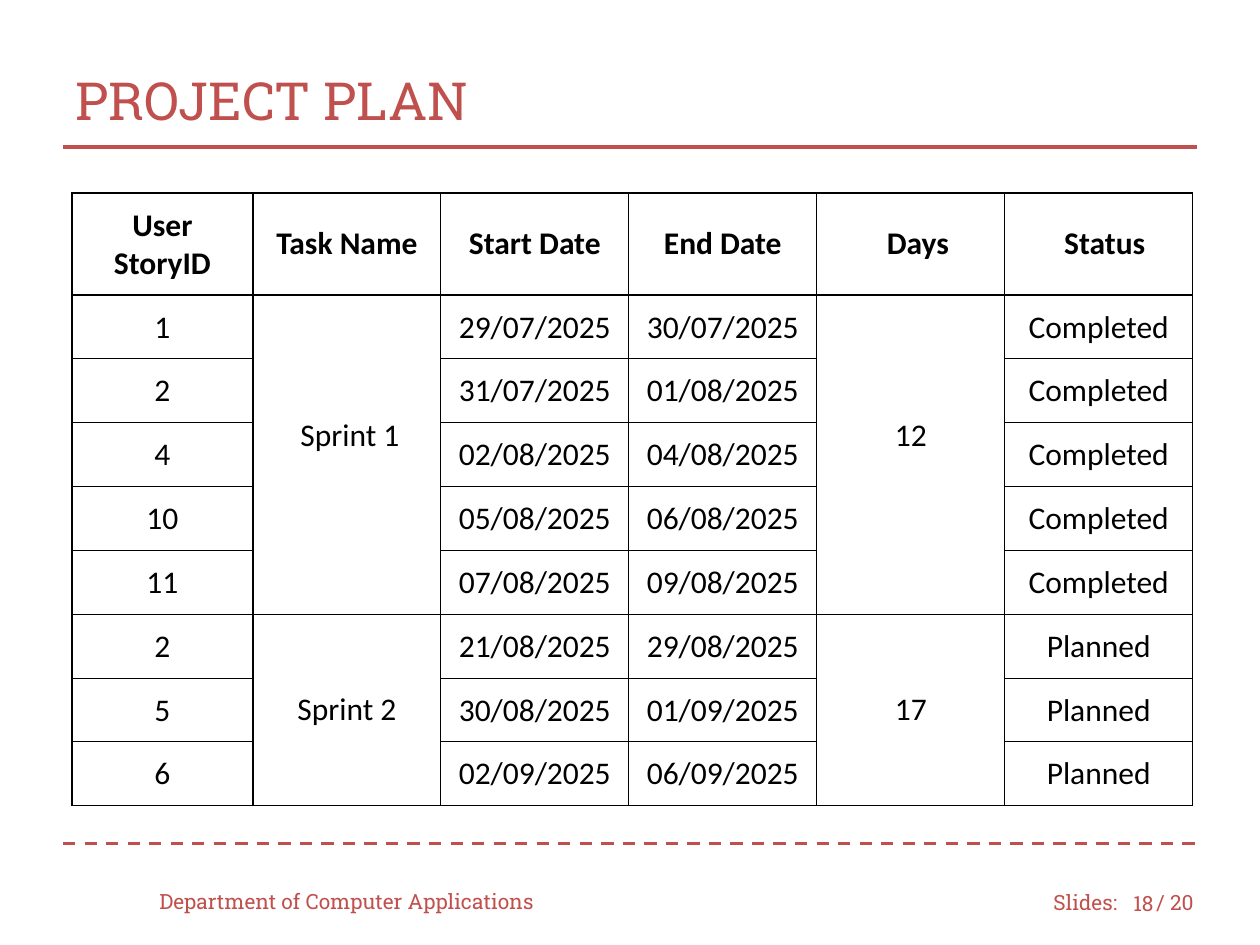
from lxml import etree
from pptx import Presentation
from pptx.dml.color import RGBColor
from pptx.enum import dml, shapes, text
from pptx.oxml import parse_xml
from pptx.oxml.ns import nsdecls, qn
from pptx.util import Emu, Pt

PX = 914400 / 126
THEME = {
    "accent": RGBColor.from_string("C0504D"),
    "ink": RGBColor.from_string("000000"),
    "paper": RGBColor.from_string("FFFFFF"),
    "slab": "Roboto Slab", "body": "Calibri",
    "title": Pt(30), "cell": Pt(18), "footer": Pt(12),
    "rule": Pt(1.75), "border": Pt(0.75),
}
LEFT, CENTER, RIGHT = text.PP_ALIGN.LEFT, text.PP_ALIGN.CENTER, text.PP_ALIGN.RIGHT


def px(n):
    return Emu(round(n * PX))


def style(p, font, size, color, align, bold=False):
    p.alignment = align
    p.font.name, p.font.size, p.font.bold = font, size, bold
    p.font.color.rgb = color


prs = Presentation()
prs.slide_width, prs.slide_height = px(1260), px(945)
s = prs.slides.add_slide(prs.slide_layouts[6])

# Rules under the title and above the footer
for y, dash in ((147, None), (844, dml.MSO_LINE.DASH)):
    rule = s.shapes.add_connector(shapes.MSO_CONNECTOR.STRAIGHT,
                                  px(63), px(y), px(1197), px(y))
    rule.line.color.rgb = THEME["accent"]
    rule.line.width = THEME["rule"]
    rule.line.dash_style = dash
    etree.SubElement(rule._element.spPr, qn("a:effectLst"))

# Title and footer texts
for words, x, y, w, h, size, align in (
    ("PROJECT PLAN", 63, 42, 1134, 116, "title", LEFT),
    ("Department of Computer Applications", 147, 876, 420, 50, "footer", LEFT),
    ("Slides:", 1041, 877, 95, 50, "footer", LEFT),
    ("18", 1113, 878, 53, 50, "footer", RIGHT),
    ("/ 20", 1144, 877, 73, 50, "footer", LEFT),
):
    tf = s.shapes.add_textbox(px(x), px(y), px(w), px(h)).text_frame
    tf.word_wrap = True
    tf.vertical_anchor = text.MSO_ANCHOR.MIDDLE
    tf.text = words
    style(tf.paragraphs[0], THEME["slab"], THEME[size], THEME["accent"], align)

# Project plan data
header = ["User\nStoryID", "Task Name", "Start Date", "End Date", "Days", "Status"]
sprints = [
    ("Sprint 1", "12", "Completed", [
        ("1", "29/07/2025", "30/07/2025"),
        ("2", "31/07/2025", "01/08/2025"),
        ("4", "02/08/2025", "04/08/2025"),
        ("10", "05/08/2025", "06/08/2025"),
        ("11", "07/08/2025", "09/08/2025"),
    ]),
    ("Sprint 2", "17", "Planned", [
        ("2", "21/08/2025", "29/08/2025"),
        ("5", "30/08/2025", "01/09/2025"),
        ("6", "02/09/2025", "06/09/2025"),
    ]),
]
rows, merges = [header], []
for name, days, status, stories in sprints:
    first = len(rows)
    for i, (story, start, end) in enumerate(stories):
        rows.append([story, "" if i else name, start, end, "" if i else days, status])
    merges += [(first, len(rows) - 1, col) for col in (1, 4)]

# Table grid
widths = [181] + [188] * 5
heights = [102] + [63] * (len(rows) - 1)
table = s.shapes.add_table(len(rows), len(widths), px(72), px(193),
                           px(sum(widths)), px(sum(heights))).table
table.first_row = table.horz_banding = False
for column, w in zip(table.columns, widths):
    column.width = px(w)
for row, h in zip(table.rows, heights):
    row.height = px(h)

# Cells
PAD = 13
extra_left = {(0, 4): 14, (0, 5): 12, (1, 1): 6}
extra_bottom = {(1, 1): 38, (1, 4): 38}
for r, values in enumerate(rows):
    for c, value in enumerate(values):
        cell = table.cell(r, c)
        cell.text = value
        cell.vertical_anchor = text.MSO_ANCHOR.MIDDLE
        cell.margin_top = cell.margin_right = px(PAD)
        cell.margin_left = px(PAD + extra_left.get((r, c), 0))
        cell.margin_bottom = px(PAD + extra_bottom.get((r, c), 0))
        for p in cell.text_frame.paragraphs:
            style(p, THEME["body"], THEME["cell"], THEME["ink"], CENTER, r == 0)
        for side in "LRTB":
            cell._tc.get_or_add_tcPr().append(parse_xml(
                f'<a:ln{side} {nsdecls("a")} w="{THEME["border"]}"><a:solidFill>'
                f'<a:srgbClr val="{THEME["ink"]}"/></a:solidFill></a:ln{side}>'))
        cell.fill.solid()
        cell.fill.fore_color.rgb = THEME["paper"]

# Sprint and day cells span their stories
for first, last, col in merges:
    table.cell(first, col).merge(table.cell(last, col))

prs.save("out.pptx")
